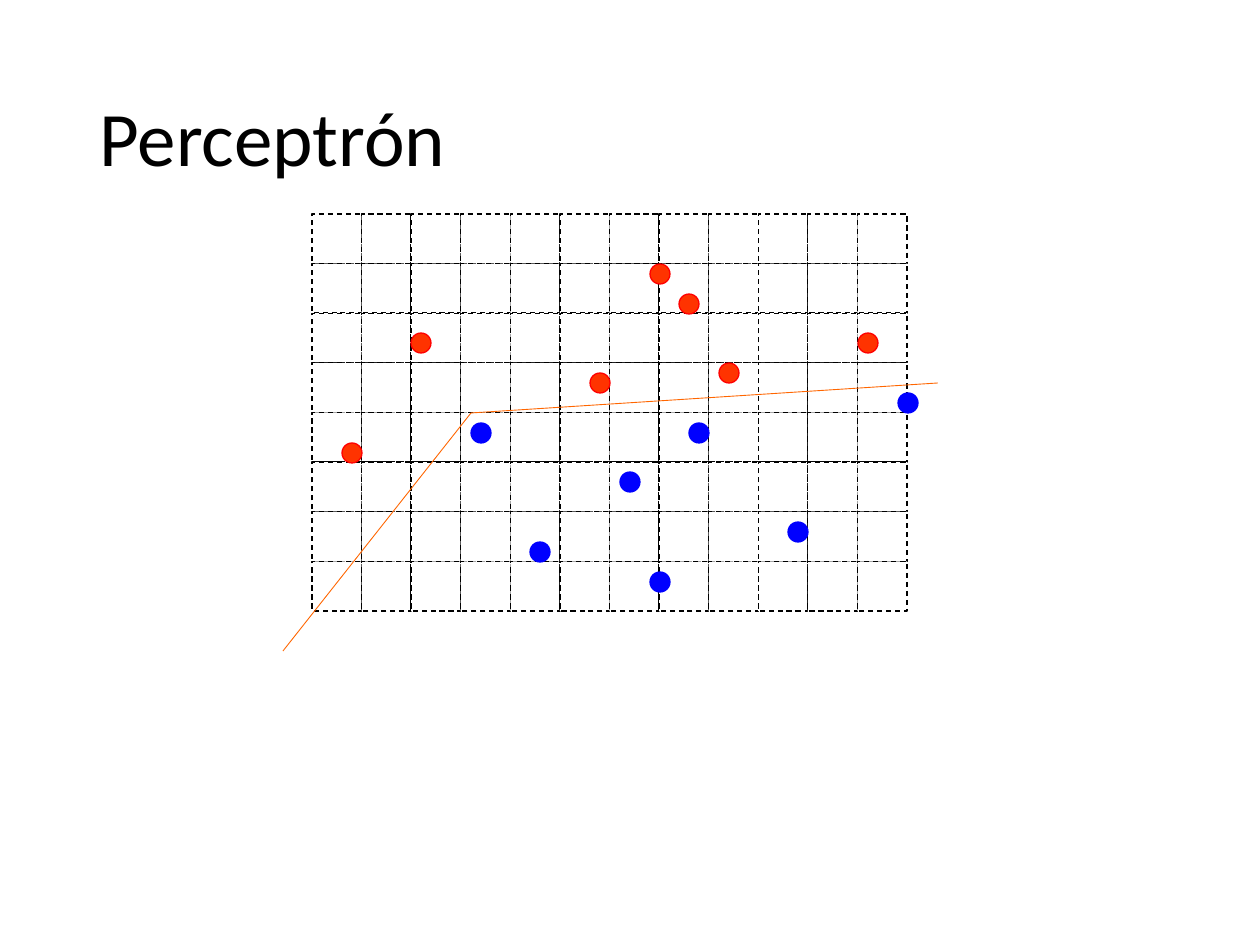
"""Build the Perceptrón slide: two classes of points split on a grid."""
from itertools import product

from lxml.etree import SubElement
from pptx import Presentation
from pptx.dml.color import RGBColor
from pptx.enum.dml import MSO_LINE
from pptx.enum.shapes import MSO_CONNECTOR, MSO_SHAPE
from pptx.enum.text import MSO_ANCHOR, MSO_AUTO_SIZE, PP_ALIGN
from pptx.oxml.ns import qn
from pptx.util import Emu, Pt

PX = 914400 / 126
THEME = {
    "font": "Calibri", "title": 44, "ink": "000000", "paper": "FFFFFF",
    "red": "FF3300", "rim": "FF0000", "blue": "0000FF", "split": "FF6600",
    "thin": 0.5, "edge": 0.75,
}


def write(frame, text, size, color, align=PP_ALIGN.LEFT, lead=0.9):
    frame.word_wrap = True
    frame.auto_size = MSO_AUTO_SIZE.NONE
    frame.vertical_anchor = MSO_ANCHOR.MIDDLE
    para = frame.paragraphs[0]
    para.alignment, para.line_spacing = align, lead
    run = para.add_run()
    run.text = text
    run.font.name, run.font.size = THEME["font"], Pt(size)
    run.font.color.rgb = RGBColor.from_string(color)


def draw(kind, left, top, wide, high, fill, line):
    box = [Emu(round(n * PX)) for n in (left, top, wide, high)]
    shape = slide.shapes.add_shape(kind, *box)
    shape.shadow.inherit = False
    shape.fill.solid()
    shape.fill.fore_color.rgb = RGBColor.from_string(THEME[fill])
    shape.line.color.rgb = RGBColor.from_string(THEME[line])
    shape.line.width = Pt(THEME["edge"])
    return shape


deck = Presentation()
deck.slide_width, deck.slide_height = Emu(round(1260 * PX)), Emu(round(945 * PX))
slide = deck.slides.add_slide(deck.slide_layouts[5])

title = slide.shapes.title
title.left, title.top, title.width, title.height = (
    Emu(round(n * PX)) for n in (87, 50, 1086, 183))
write(title.text_frame, "Perceptrón", size=THEME["title"], color=THEME["ink"])

left, top, wide, high = 312, 214, 595, 397
cols, rows = 12, 8
for col, row in product(range(cols), range(rows)):
    cell = draw(MSO_SHAPE.RECTANGLE, left + col * wide / cols, top + row * high / rows,
                wide / cols, high / rows, "paper", "ink")
    cell.line.dash_style = MSO_LINE.DASH

size = 20
reds = [(352, 453), (600, 383), (660, 274), (868, 343), (729, 373), (421, 343), (689, 304)]
blues = [(540, 552), (908, 403), (630, 482), (798, 532), (660, 582), (481, 433), (699, 433)]
for dots, fill, line in ((reds, "red", "rim"), (blues, "blue", "blue")):
    for x, y in dots:
        draw(MSO_SHAPE.OVAL, x - size / 2, y - size / 2, size, size, fill, line)

bend = (471, 413)
for end in ((283, 651), (938, 383)):
    ends = [Emu(round(n * PX)) for n in bend + end]
    split = slide.shapes.add_connector(MSO_CONNECTOR.STRAIGHT, *ends)
    split.line.color.rgb = RGBColor.from_string(THEME["split"])
    split.line.width = Pt(THEME["thin"])
    SubElement(split._element.spPr, qn("a:effectLst"))

deck.save("out.pptx")
